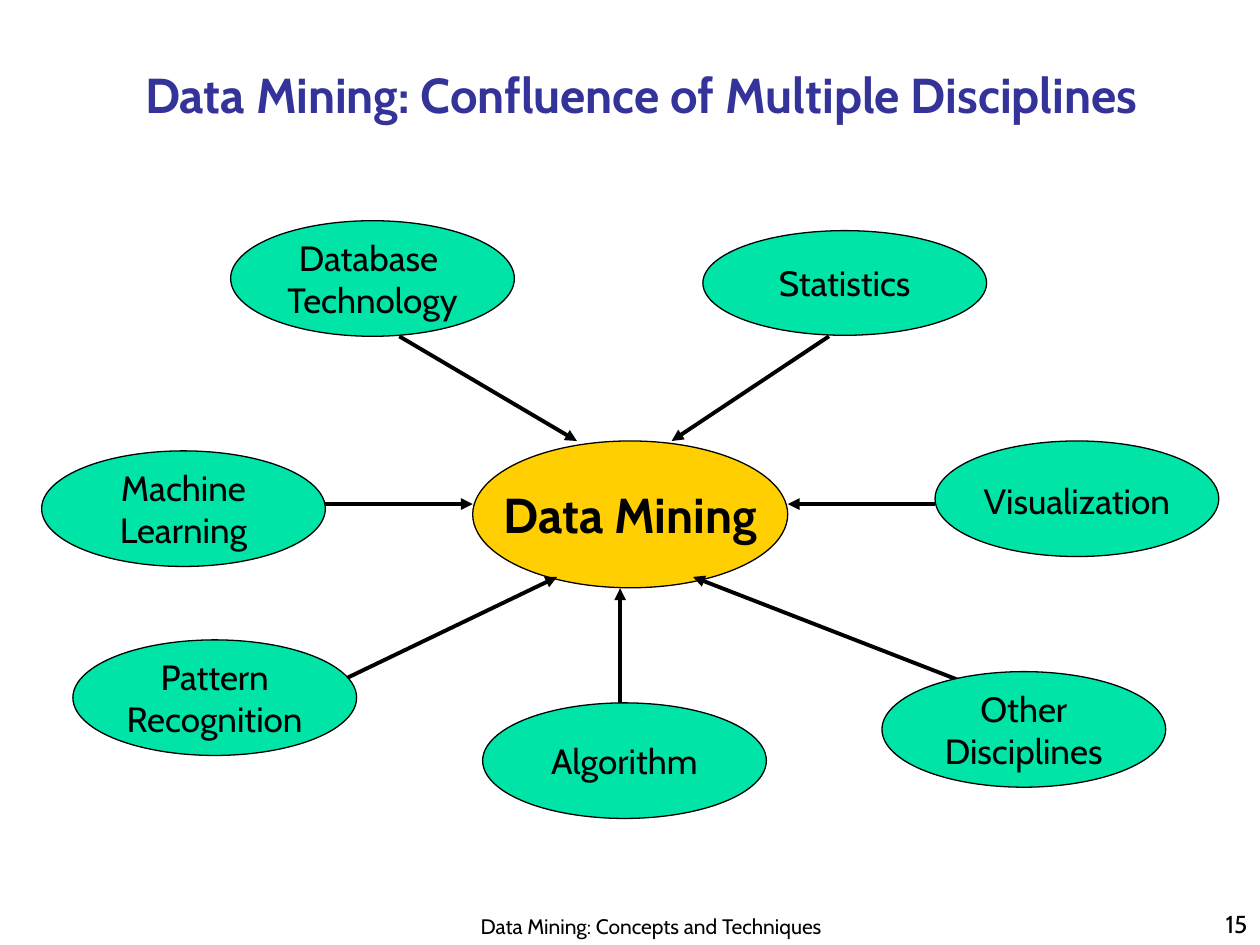
import pptx
import pptx.util
import pptx.dml.color
import pptx.enum.shapes
import pptx.enum.text
import pptx.oxml.ns
import lxml.etree

Cm, Pt = pptx.util.Cm, pptx.util.Pt
Align = pptx.enum.text.PP_ALIGN
Anchor = pptx.enum.text.MSO_ANCHOR
qn = pptx.oxml.ns.qn


def rgb(value):
    return pptx.dml.color.RGBColor.from_string(value)


def write(box, text, size, anchor, align=Align.CENTER, color="000000", bold=False):
    """Fill a shape with text, one paragraph per line, in a single style."""
    frame = box.text_frame
    frame.text = text
    frame.vertical_anchor = anchor
    for para in frame.paragraphs:
        para.alignment = align
        para.font.name = "Cabin"
        para.font.size = Pt(size)
        para.font.bold = bold
        para.font.color.rgb = rgb(color)


deck = pptx.Presentation()
deck.slide_width, deck.slide_height = Cm(25.4), Cm(19.05)
page = deck.slides.add_slide(deck.slide_layouts[5])

title = page.shapes.title
title.left, title.top, title.width, title.height = Cm(1.07), Cm(0.84), Cm(23.93), Cm(2.11)
write(title, "Data Mining: Confluence of Multiple Disciplines ", 28, Anchor.MIDDLE,
      color="333399", bold=True)

# Text, left, top, width, height, fill, text size, arrow start and end (cm)
green = "00E4A8"
topics = [
    ("Data Mining", 9.53, 8.89, 6.35, 2.96, "FFCF01", 28, None),
    ("Machine\nLearning", 0.84, 9.09, 5.72, 2.33, green, 20, (6.55, 10.16, 9.53, 10.16)),
    ("Database \nTechnology", 4.65, 4.45, 5.72, 2.33, green, 20, (8.05, 6.78, 11.63, 8.89)),
    ("Statistics", 14.17, 4.65, 5.72, 2.11, green, 20, (16.71, 6.78, 13.54, 8.89)),
    ("Visualization", 18.85, 8.89, 5.72, 2.33, green, 20, (18.85, 10.16, 15.88, 10.16)),
    ("Other\nDisciplines", 17.78, 13.54, 5.72, 2.33, green, 20, (19.48, 13.77, 13.97, 11.63)),
    ("Pattern\nRecognition", 1.47, 12.9, 5.72, 2.33, green, 20, (6.78, 13.77, 11.23, 11.63)),
    ("Algorithm", 9.73, 14.17, 5.72, 2.33, green, 20, (12.5, 14.17, 12.5, 11.86)),
]
for text, left, top, width, height, fill, size, route in topics:
    if route:
        arrow = page.shapes.add_connector(
            pptx.enum.shapes.MSO_CONNECTOR.STRAIGHT, *map(Cm, route))
        arrow.line.color.rgb = rgb("000000")
        arrow.line.width = Pt(2.25)
        lxml.etree.SubElement(arrow.line._get_or_add_ln(), qn("a:tailEnd"), type="triangle")
        lxml.etree.SubElement(arrow._element.spPr, qn("a:effectLst"))

    oval = page.shapes.add_shape(
        pptx.enum.shapes.MSO_SHAPE.OVAL, Cm(left), Cm(top), Cm(width), Cm(height))
    oval.shadow.inherit = False
    oval.fill.solid()
    oval.fill.fore_color.rgb = rgb(fill)
    oval.line.color.rgb = rgb("000000")
    oval.line.width = Pt(0.75)
    write(oval, text, size, Anchor.MIDDLE, bold=route is None)
    oval.text_frame.word_wrap = False
    if text == "Visualization":
        oval.text_frame.paragraphs[0].line_spacing = 1.1
        oval.text_frame.paragraphs[0].space_before = Pt(4)

footers = [
    ("Data Mining: Concepts and Techniques", 7.95, 17.98, 10.36, 1.07, 12, Align.CENTER),
    ("15", 20.12, 17.78, 5.28, 1.27, 14, Align.RIGHT),
]
for text, left, top, width, height, size, align in footers:
    box = page.shapes.add_textbox(Cm(left), Cm(top), Cm(width), Cm(height))
    box.text_frame.word_wrap = True
    write(box, text, size, Anchor.BOTTOM, align)

deck.save("out.pptx")
